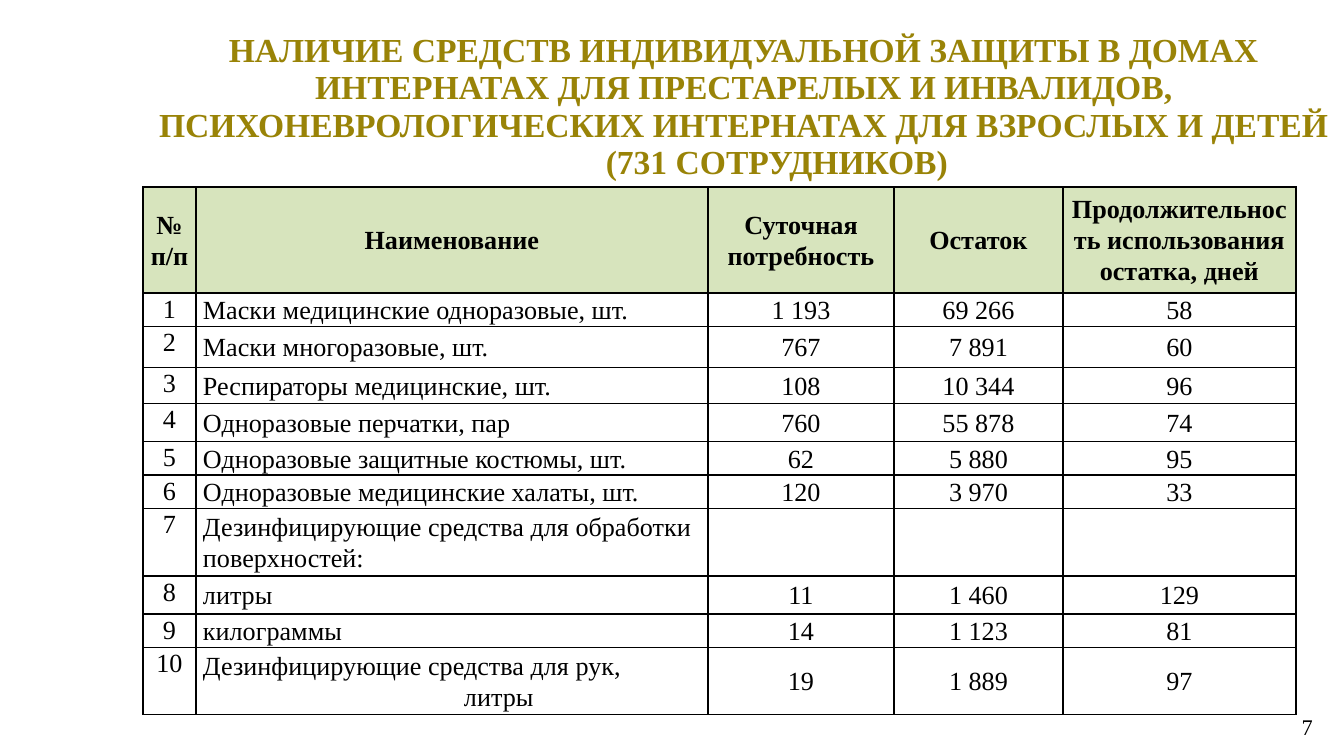
from lxml.etree import SubElement
from pptx import Presentation
from pptx.dml.color import RGBColor
from pptx.enum.text import MSO_ANCHOR, MSO_AUTO_SIZE, PP_ALIGN
from pptx.oxml.ns import qn
from pptx.util import Emu, Pt

EMU_PER_PIXEL = 914400 / 134.4
FONT = "Times New Roman"
BLACK, GOLD, HEADER_GREEN = "000000", "998307", "D7E4BD"

TITLE = [
    "НАЛИЧИЕ СРЕДСТВ ИНДИВИДУАЛЬНОЙ ЗАЩИТЫ В ДОМАХ ИНТЕРНАТАХ ДЛЯ ПРЕСТАРЕЛЫХ "
    "И ИНВАЛИДОВ, ПСИХОНЕВРОЛОГИЧЕСКИХ ИНТЕРНАТАХ ДЛЯ ВЗРОСЛЫХ И ДЕТЕЙ",
    "(731 СОТРУДНИКОВ)",
]
HEADERS = ["№ п/п", "Наименование", "Суточная потребность", "Остаток",
           "Продолжительность использования остатка, дней"]
# Lines of the name, daily need, stock, days of use
SUPPLIES = [
    (["Маски медицинские одноразовые, шт."], "1 193", "69 266", "58"),
    (["Маски многоразовые, шт."], "767", "7 891", "60"),
    (["Респираторы медицинские, шт."], "108", "10 344", "96"),
    (["Одноразовые перчатки, пар"], "760", "55 878", "74"),
    (["Одноразовые защитные костюмы, шт."], "62", "5 880", "95"),
    (["Одноразовые медицинские халаты, шт."], "120", "3 970", "33"),
    (["Дезинфицирующие средства для обработки поверхностей:"], "", "", ""),
    (["литры"], "11", "1 460", "129"),
    (["килограммы"], "14", "1 123", "81"),
    (["Дезинфицирующие средства для рук,", "литры"], "19", "1 889", "97"),
]
COLUMN_WIDTHS = [53, 512, 186, 169, 233]
ROW_HEIGHTS = [106, 32, 41, 36, 38, 31, 32, 62, 38, 30, 62]


def px(length):
    return Emu(round(length * EMU_PER_PIXEL))


def color(hex_value):
    return RGBColor.from_string(hex_value)


def set_attributes(target, values):
    for name, value in values.items():
        setattr(target, name, value)


def place(shape, left, top, width, height):
    set_attributes(shape, {"left": px(left), "top": px(top),
                           "width": px(width), "height": px(height)})


def write_lines(frame, lines, size, alignment, spacing, bold=False,
                hex_value=BLACK, last_indent=0):
    """Write one paragraph per line; indent the last of several lines."""
    for index, line in enumerate(lines):
        paragraph = frame.add_paragraph() if index else frame.paragraphs[0]
        set_attributes(paragraph, {"alignment": alignment, "line_spacing": spacing,
                                   "space_before": Pt(0), "space_after": Pt(0)})
        if index and last_indent:
            paragraph_properties = paragraph._p.get_or_add_pPr()
            paragraph_properties.set("marL", str(px(last_indent)))
            paragraph_properties.set("indent", "0")
        if line:
            run = paragraph.add_run()
            run.text = line
            set_attributes(run.font, {"name": FONT, "size": Pt(size), "bold": bold})
            run.font.color.rgb = color(hex_value)


def add_title(slide):
    title = slide.shapes.title
    place(title, 144, 25, 1200, 133)
    set_attributes(title.text_frame, {
        "word_wrap": True, "auto_size": MSO_AUTO_SIZE.NONE,
        "vertical_anchor": MSO_ANCHOR.TOP,
    })
    write_lines(title.text_frame, TITLE, 18, PP_ALIGN.CENTER, Pt(20),
                bold=True, hex_value=GOLD, last_indent=66)


def add_borders(cell):
    cell_properties = cell._tc.get_or_add_tcPr()
    for side in ("lnL", "lnR", "lnT", "lnB"):
        line = SubElement(cell_properties, qn(f"a:{side}"), w=str(Pt(1)))
        fill = SubElement(line, qn("a:solidFill"))
        SubElement(fill, qn("a:srgbClr"), val=BLACK)


def format_cell(cell, lines, row, column):
    is_header = row == 0
    is_number = column == 0 and not is_header
    is_name = column == 1 and not is_header
    set_attributes(cell, {
        "margin_left": px(7), "margin_right": px(7),
        "margin_top": 0, "margin_bottom": 0,
        "vertical_anchor": MSO_ANCHOR.TOP if is_number else MSO_ANCHOR.MIDDLE,
    })
    add_borders(cell)
    if is_header:
        cell.fill.solid()
        cell.fill.fore_color.rgb = color(HEADER_GREEN)
    else:
        cell.fill.background()
    write_lines(cell.text_frame, lines, 14,
                PP_ALIGN.LEFT if is_name else PP_ALIGN.CENTER, 1.07,
                bold=is_header, last_indent=261)


def add_supplies_table(slide):
    frame = slide.shapes.add_table(
        len(ROW_HEIGHTS), len(COLUMN_WIDTHS), px(143), px(187),
        px(sum(COLUMN_WIDTHS)), px(sum(ROW_HEIGHTS)))
    table = frame.table
    for column, width in zip(table.columns, COLUMN_WIDTHS):
        column.width = px(width)
    for row, height in zip(table.rows, ROW_HEIGHTS):
        row.height = px(height)

    contents = [[[header] for header in HEADERS]]
    for number, (name_lines, *values) in enumerate(SUPPLIES, 1):
        contents.append([[str(number)], name_lines, *([value] for value in values)])
    for row, row_contents in enumerate(contents):
        for column, lines in enumerate(row_contents):
            format_cell(table.cell(row, column), lines, row, column)


def add_page_number(slide):
    box = slide.shapes.add_textbox(px(1013), px(707), px(313), px(40))
    set_attributes(box.text_frame, {"word_wrap": True,
                                    "vertical_anchor": MSO_ANCHOR.MIDDLE})
    write_lines(box.text_frame, ["7"], 12, PP_ALIGN.RIGHT, 1.0)


def main():
    presentation = Presentation()
    set_attributes(presentation, {"slide_width": px(1344), "slide_height": px(756)})
    slide = presentation.slides.add_slide(presentation.slide_layouts[5])
    add_page_number(slide)
    add_title(slide)
    add_supplies_table(slide)
    presentation.save("out.pptx")


if __name__ == "__main__":
    main()
